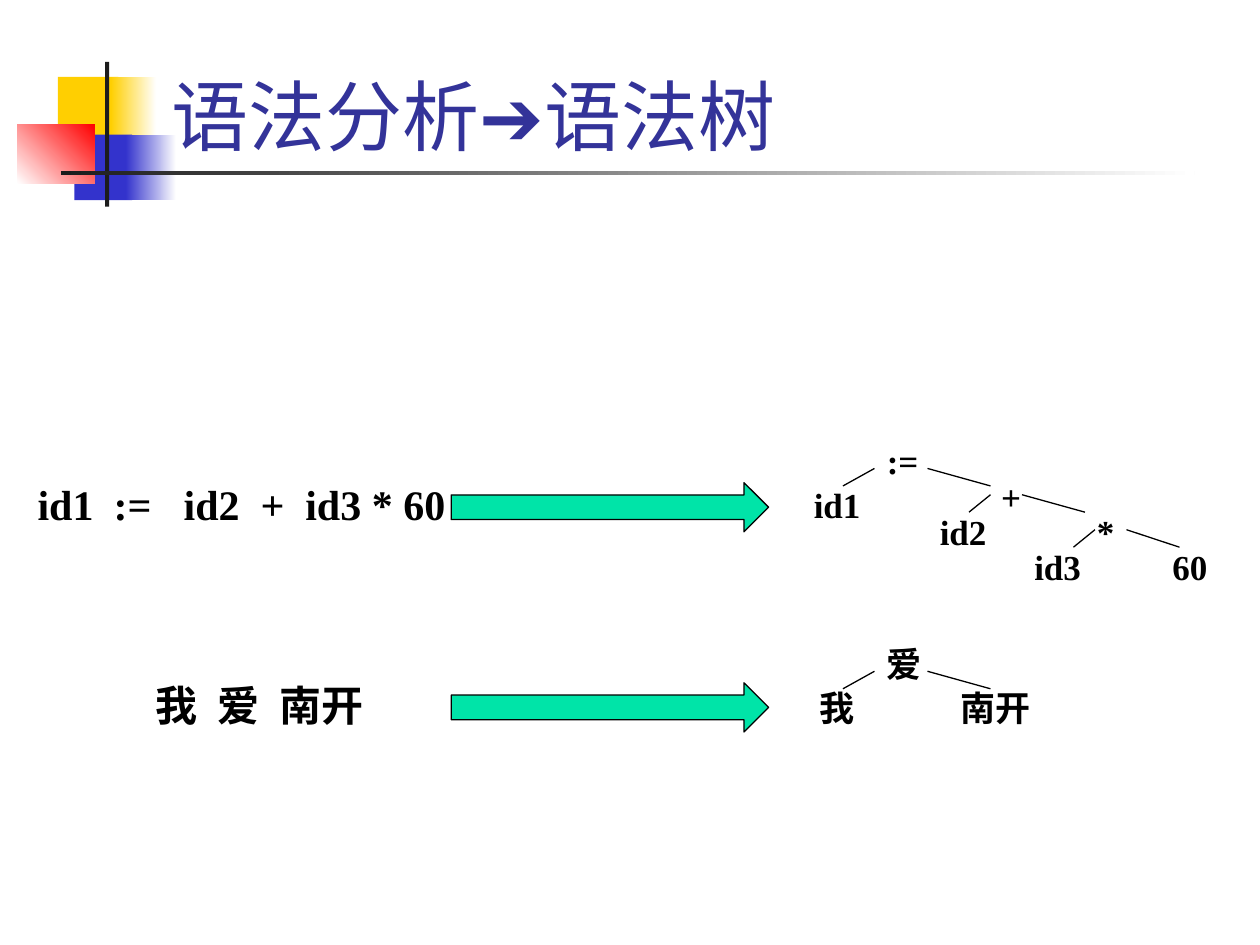
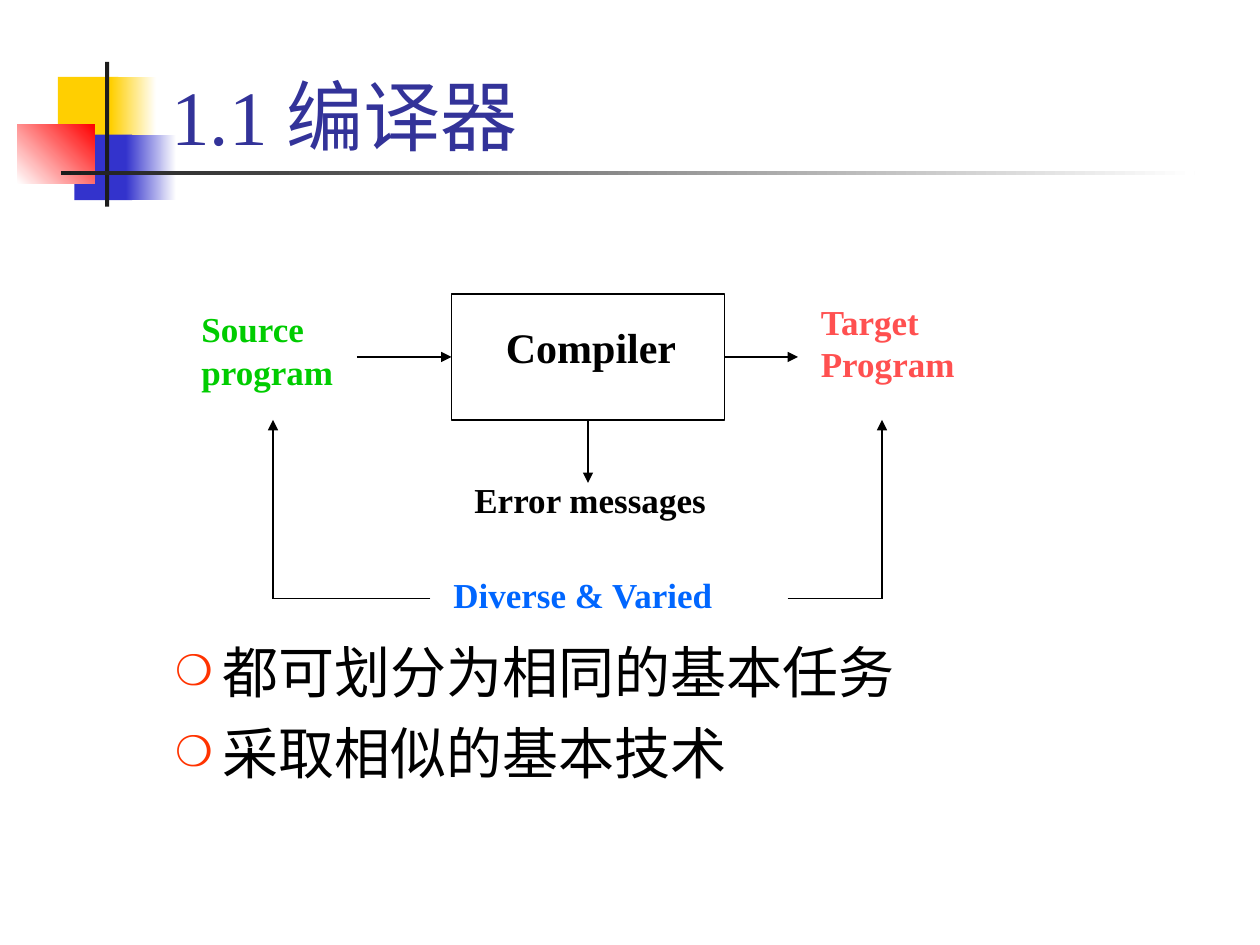
from lxml import etree
from pptx import Presentation
from pptx.dml.color import RGBColor
from pptx.enum.shapes import MSO_CONNECTOR, MSO_SHAPE
from pptx.enum.text import MSO_ANCHOR, MSO_AUTO_SIZE, PP_ALIGN
from pptx.oxml.ns import qn
from pptx.util import Pt

RECT, RIGHT_ARROW = MSO_SHAPE.RECTANGLE, MSO_SHAPE.RIGHT_ARROW
STRAIGHT = MSO_CONNECTOR.STRAIGHT
BOTTOM, NO_AUTOFIT = MSO_ANCHOR.BOTTOM, MSO_AUTO_SIZE.NONE
LEFT, CENTER = PP_ALIGN.LEFT, PP_ALIGN.CENTER

THEME = {
    "font": "Times New Roman", "symbol_font": "Arial",
    "title_size": Pt(44), "body_size": Pt(32),
    "large": Pt(24), "label": Pt(20), "line": Pt(0.75),
    "title": RGBColor(0x33, 0x33, 0x99), "ink": RGBColor(0, 0, 0),
    "white": RGBColor(0xFF, 0xFF, 0xFF), "dark": RGBColor(0x1C, 0x1C, 0x1C),
    "yellow": RGBColor(0xFF, 0xCF, 0x01), "indigo": RGBColor(0x33, 0x33, 0xCC),
    "red": RGBColor(0xFF, 0, 0), "arrow": RGBColor(0, 0xE4, 0xA8),
    "source": RGBColor(0, 0xCC, 0), "target": RGBColor(0xFF, 0x50, 0x50),
    "note": RGBColor(0, 0x66, 0xFF), "bullet": "FF3300",
}


def add_label(slide, text, left, top, width, size=THEME["label"],
              color=THEME["ink"], align=LEFT, tabs=()):
    """Add a bold text box; tabs are stops in points from the text's left edge."""
    tf = slide.shapes.add_textbox(Pt(left), Pt(top), Pt(width), Pt(32)).text_frame
    tf.word_wrap = True
    p = tf.paragraphs[0]
    p.alignment = align
    r = p.add_run()
    r.text = text
    style = {"name": THEME["font"], "size": size, "bold": True}
    for name, value in style.items():
        setattr(r.font, name, value)
    r.font.color.rgb = color
    if tabs:
        tab_list = etree.SubElement(p._p.get_or_add_pPr(), qn("a:tabLst"))
        for stop in tabs:
            etree.SubElement(tab_list, qn("a:tab"), pos=str(Pt(stop)), algn="l")
    return p


def add_line(slide, x1, y1, x2, y2, arrow=False):
    line = slide.shapes.add_connector(STRAIGHT, Pt(x1), Pt(y1), Pt(x2), Pt(y2))
    line.line.color.rgb = THEME["ink"]
    line.line.width = THEME["line"]
    if arrow:
        etree.SubElement(line.line._get_or_add_ln(), qn("a:tailEnd"), type="triangle")
    etree.SubElement(line._element.spPr, qn("a:effectLst"))


prs = Presentation()
prs.slide_width, prs.slide_height = Pt(720), Pt(540)
master = prs.slide_master
tree_slide = prs.slides.add_slide(prs.slide_layouts[5])
compiler_slide = prs.slides.add_slide(prs.slide_layouts[1])

# Shared title place and corner ornament, both kept on the master
title = master.placeholders[0]
title.left, title.top, title.width, title.height = Pt(90.7), Pt(5.8), Pt(613.4), Pt(90)
title.text_frame.vertical_anchor = BOTTOM
title.text_frame.auto_size = NO_AUTOFIT

ornament = [  # left, top, width, height, colours from start to end, angle
    (33.1, 43.9, 34.6, 37.4, ["yellow"], 0),
    (63.4, 43.9, 25.9, 37.4, ["yellow", "white"], 0),
    (42.5, 77, 33.1, 37.4, ["indigo"], 0),
    (72, 77, 28.8, 37.4, ["indigo", "white"], 0),
    (9.9, 71.1, 44.2, 33.8, ["white", "red"], 45),
    (60, 35.3, 2.4, 82.8, ["dark"], 0),
    (34.7, 97.8, 648, 2.2, ["dark", "white"], 0),
]
for left, top, width, height, colors, angle in ornament:
    sp = tree_slide.shapes.add_shape(RECT, Pt(left), Pt(top), Pt(width), Pt(height))
    sp.shadow.inherit = False
    sp.line.fill.background()
    if len(colors) == 1:
        sp.fill.solid()
        sp.fill.fore_color.rgb = THEME[colors[0]]
    else:
        sp.fill.gradient()
        sp.fill.gradient_angle = angle
        for stop, color in zip(sp.fill.gradient_stops, colors):
            stop.color.rgb = THEME[color]
    master.shapes.element.append(sp.element)

titles = [
    (tree_slide, [("语法分析", "font"), ("➔", "symbol_font"), ("语法树", "font")]),
    (compiler_slide, [("1.1 编译器", "font")]),
]
for slide, runs in titles:
    p = slide.shapes.title.text_frame.paragraphs[0]
    p.alignment = LEFT
    for text, font in runs:
        r = p.add_run()
        r.text = text
        r.font.name, r.font.size = THEME[font], THEME["title_size"]
        r.font.color.rgb = THEME["title"]

# Slide 1: a sentence, an arrow and its syntax tree in each row
add_label(tree_slide, "id1\t:=\tid2\t+\tid3 * 60", 14.4, 270, 252,
          THEME["large"], tabs=(43.5, 83.5, 127.5, 153))
add_label(tree_slide, "我\t爱\t南开", 82, 384.5, 164, THEME["large"], tabs=(35.3, 70.6))

BRANCH_DROP = 10
trees = [  # arrow top, tree top, nodes (text, left, drop, width), branches (x1, x2, drop)
    (275.8, 247.7,
     [(":=", 499.7, 0, 48.2), ("id1", 433.4, 25.2, 90), ("+", 553.7, 20.2, 48.2),
      ("id2", 505.4, 40.3, 90), ("*", 607.7, 40.3, 48.2),
      ("id3", 559.4, 60.5, 90), ("60", 655.9, 60.5, 48.2)],
     [(499.7, 481.7, 20), (530, 566, 20), (566, 553.7, 35),
      (584, 620, 35), (625.7, 613.4, 55), (643.7, 674, 55)]),
    (390.2, 363.6,
     [("爱", 499.7, 0, 48.2), ("我", 433.4, 25.2, 90), ("南开", 535.7, 25.2, 66.2)],
     [(499.7, 481.7, 20), (530, 566, 20)]),
]
for arrow_top, tree_top, nodes, branches in trees:
    sp = tree_slide.shapes.add_shape(RIGHT_ARROW, Pt(257.8), Pt(arrow_top), Pt(181.4), Pt(28.1))
    sp.shadow.inherit = False
    sp.fill.solid()
    sp.fill.fore_color.rgb = THEME["arrow"]
    sp.line.color.rgb = THEME["ink"]
    sp.line.width = THEME["line"]
    for text, left, drop, width in nodes:
        add_label(tree_slide, text, left, tree_top + drop, width,
                  align=CENTER if drop else LEFT)
    for x1, x2, drop in branches:
        y = tree_top + drop
        add_line(tree_slide, x1, y, x2, y + BRANCH_DROP)

# Slide 2: the compiler between source and target
sp = compiler_slide.shapes.add_shape(RECT, Pt(258), Pt(168), Pt(156), Pt(72))
sp.shadow.inherit = False
sp.fill.solid()
sp.fill.fore_color.rgb = THEME["white"]
sp.line.color.rgb = THEME["ink"]
sp.line.width = THEME["line"]

add_label(compiler_slide, "Compiler", 282, 180, 126, THEME["large"])
p = add_label(compiler_slide, "Source", 108, 168, 126, color=THEME["source"])
for text, size in ((" ", "large"), ("program", "label")):
    r = p.add_run()
    r.text = text
    r.font.name, r.font.size, r.font.bold = THEME["font"], THEME[size], True
    r.font.color.rgb = THEME["source"]
add_label(compiler_slide, "Target Program", 462, 168, 126, color=THEME["target"])
add_label(compiler_slide, "Error messages", 264, 270, 198)
add_label(compiler_slide, "Diverse & Varied", 252, 324, 210, color=THEME["note"])

flow = [  # x1, y1, x2, y2, arrow
    (204, 204, 258, 204, True), (414, 204, 456, 204, True), (336, 240, 336, 276, True),
    (450, 342, 504, 342, False), (504, 342, 504, 240, True),
    (246, 342, 156, 342, False), (156, 342, 156, 240, True),
]
for segment in flow:
    add_line(compiler_slide, *segment)

body = compiler_slide.placeholders[1]
body.left, body.top, body.width, body.height = Pt(92.9), Pt(360.7), Pt(612), Pt(108)
tf = body.text_frame
tf.auto_size = NO_AUTOFIT
tf.text = "都可划分为相同的基本任务\n采取相似的基本技术"
for p in tf.paragraphs:
    p.space_before = Pt(8)
    font = p.runs[0].font
    font.name, font.size = THEME["font"], THEME["body_size"]
    font.color.rgb = THEME["ink"]
    pPr = p._p.get_or_add_pPr()
    bullet_color = etree.SubElement(pPr, qn("a:buClr"))
    etree.SubElement(bullet_color, qn("a:srgbClr"), val=THEME["bullet"])
    etree.SubElement(pPr, qn("a:buSzPct"), val="75000")
    etree.SubElement(pPr, qn("a:buChar"), char="❍")

prs.save("out.pptx")
